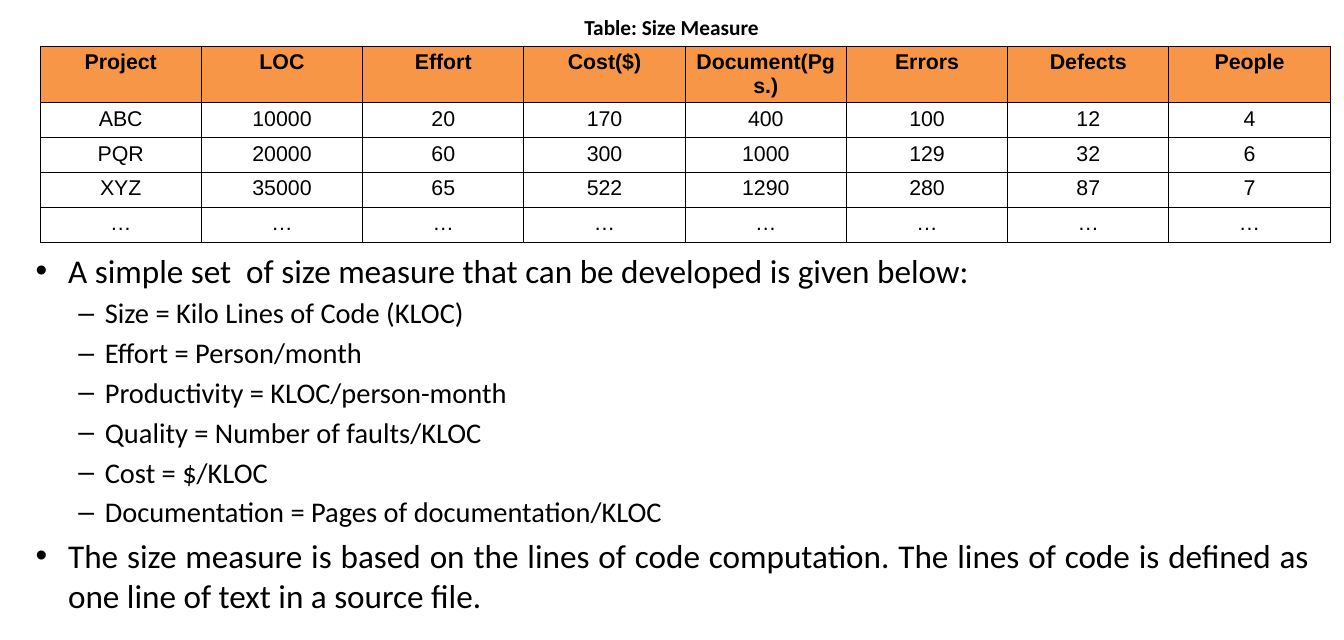
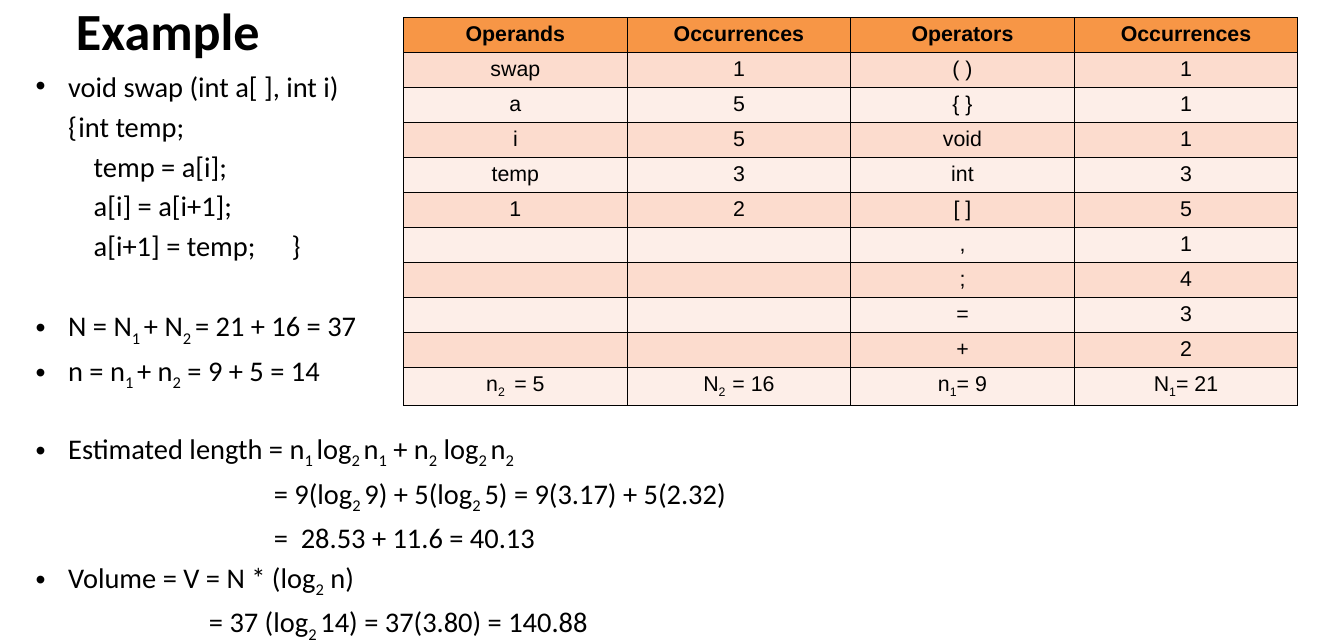
import pptx
import pptx.util
import pptx.dml.color
import pptx.enum.text
import pptx.oxml
import pptx.oxml.ns
import lxml.etree

Inches, Pt = pptx.util.Inches, pptx.util.Pt
ALIGN = pptx.enum.text.PP_ALIGN
ANCHOR = pptx.enum.text.MSO_ANCHOR

# Shared style
HUES = {"ink": "000000", "head": "F79646", "odd": "FCDCCE", "even": "FDEEE8"}
TEXT, GRID = "Calibri", "Arial"
ROW = 0.41
LEFT, WIDE, BASE = 0.32, 15.12, 7.5

# Text between ~ marks is subscript
SIZES = [
    ["Project", "LOC", "Effort", "Cost($)", "Document(Pgs.)", "Errors", "Defects", "People"],
    ["ABC", "10000", "20", "170", "400", "100", "12", "4"],
    ["PQR", "20000", "60", "300", "1000", "129", "32", "6"],
    ["XYZ", "35000", "65", "522", "1290", "280", "87", "7"],
    ["…"] * 8,
]
COUNTS = [
    ["Operands", "Occurrences", "Operators", "Occurrences"],
    ["swap", "1", "( )", "1"],
    ["a", "5", "{ }", "1"],
    ["i", "5", "void", "1"],
    ["temp", "3", "int", "3"],
    ["1", "2", "[ ]", "5"],
    ["", "", ",", "1"],
    ["", "", ";", "4"],
    ["", "", "=", "3"],
    ["", "", "+", "2"],
    ["n~2 ~ = 5", "N~2  ~= 16", "n~1~= 9", "N~1~= 21"],
]

# Kind of line: bullet, left margin, first-line indent, size, space before
KINDS = {
    "main": ("•", 0.38, -0.38, 28, 5.6),
    "sub": ("–", 0.81, -0.31, 24, 4.8),
    "item": ("•", 0.38, -0.38, 24, 4.8),
    "code": (None, 0, 0.38, 24, 4.8),
    "deep": (None, 0, 0.68, 24, 4.8),
    "sum": (None, 0, 2.79, 24, 4.8),
    "volume": (None, 0, 2.03, 24, 4.8),
}
# Each line: kind, text, then optional space before and tab stop
MEASURE = [
    ("main", "A simple set  of size measure that can be developed is given below:", {"gap": 0}),
    ("sub", "Size = Kilo Lines of Code (KLOC)", {}),
    ("sub", "Effort = Person/month", {}),
    ("sub", "Productivity = KLOC/person-month", {}),
    ("sub", "Quality = Number of faults/KLOC", {}),
    ("sub", "Cost = $/KLOC", {}),
    ("sub", "Documentation = Pages of documentation/KLOC", {}),
    ("main", "The size measure is based on the lines of code computation. "
             "The lines of code is defined as one line of text in a source file.", {}),
]
SWAP = [
    ("item", "void swap (int a[ ], int i)", {"gap": 0}),
    ("code", "{\tint temp;", {"tab": 0.71}),
    ("deep", "temp = a[i];", {}),
    ("deep", "a[i] = a[i+1];", {}),
    ("deep", "a[i+1] = temp;\t}", {"tab": 2.96}),
    ("item", "N = N~1 ~+ N~2 ~= 21 + 16 = 37", {"gap": 38.9}),
    ("item", "n = n~1 ~+ n~2~ = 9 + 5 = 14", {}),
    ("item", "Estimated length = n~1 ~log~2 ~n~1~ + n~2~ log~2 ~n~2~", {"gap": 33.2}),
    ("sum", "= 9(log~2 ~9) + 5(log~2 ~5) = 9(3.17) + 5(2.32)", {}),
    ("sum", "=  28.53 + 11.6 = 40.13", {}),
    ("item", "Volume = V = N * (log~2~ n)", {}),
    ("volume", "= 37 (log~2 ~14) = 37(3.80) = 140.88", {}),
]


def color(name):
    return pptx.dml.color.RGBColor.from_string(HUES[name])


def node(host, tag, **attrs):
    return lxml.etree.SubElement(host, pptx.oxml.ns.qn(tag), attrs)


def write(para, text, size, face, bold=False):
    for i, part in enumerate(text.split("~")):
        if not part:
            continue
        run = para.add_run()
        run.text = part
        font = run.font
        font.size, font.name, font.bold = Pt(size), face, bold
        font.color.rgb = color("ink")
        if i % 2:
            font._element.set("baseline", "-25000")


def add_box(slide, left, top, width, height):
    frame = slide.shapes.add_textbox(*map(Inches, (left, top, width, height))).text_frame
    frame.word_wrap = True
    return frame


def add_body(slide, top, lines):
    frame = add_box(slide, LEFT, top, WIDE, BASE - top)
    for i, (kind, text, extra) in enumerate(lines):
        mark, left, first, size, gap = KINDS[kind]
        para = frame.add_paragraph() if i else frame.paragraphs[0]
        para.alignment = ALIGN.JUSTIFY
        para.space_before = Pt(extra.get("gap", gap))
        write(para, text, size, TEXT)
        props = para._p.get_or_add_pPr()
        props.set("marL", str(Inches(left)))
        props.set("indent", str(Inches(first)))
        if mark:
            node(node(props, "a:buClr"), "a:srgbClr", val=HUES["ink"])
            node(props, "a:buFont", typeface=GRID)
            node(props, "a:buChar", char=mark)
        else:
            node(props, "a:buNone")
        if "tab" in extra:
            node(node(props, "a:tabLst"), "a:tab", pos=str(Inches(extra["tab"])), algn="l")


def add_edges(cell):
    props = cell._tc.get_or_add_tcPr()
    for i, side in enumerate("LRTB"):
        line = node(props, "a:ln" + side, w=str(Pt(1)))
        node(node(line, "a:solidFill"), "a:srgbClr", val=HUES["ink"])
        props.insert(i, line)


def add_grid(slide, left, top, col, rows, banded):
    count = len(rows[0])
    table = slide.shapes.add_table(
        len(rows), count, Inches(left), Inches(top),
        Inches(col * count), Inches(ROW * len(rows))).table
    for column in table.columns:
        column.width = Inches(col)
    for r, row in enumerate(rows):
        for c, text in enumerate(row):
            cell = table.cell(r, c)
            if r == 0 or banded:
                cell.fill.solid()
                cell.fill.fore_color.rgb = color(
                    "head" if r == 0 else "odd" if r % 2 else "even")
            else:
                cell.fill.background()
            add_edges(cell)
            para = cell.text_frame.paragraphs[0]
            para.alignment = ALIGN.CENTER
            write(para, text, 18, GRID, r == 0)


def add_title(slide, text):
    title = slide.shapes.title
    title.left, title.top, title.width, title.height = map(Inches, (0.79, 0, 3.8, 0.7))
    frame = title.text_frame
    frame.auto_size = pptx.enum.text.MSO_AUTO_SIZE.NONE
    frame.vertical_anchor = ANCHOR.MIDDLE
    frame.paragraphs[0].alignment = ALIGN.LEFT
    write(frame.paragraphs[0], text, 44, TEXT, True)


def main():
    deck = pptx.Presentation()
    deck.slide_width, deck.slide_height = Inches(15.75), Inches(BASE)

    # Size measures
    slide = deck.slides.add_slide(deck.slide_layouts[6])
    add_grid(slide, 0.47, 0.54, 1.89, SIZES, False)
    label = add_box(slide, 5.67, 0.12, 4.4, 0.4).paragraphs[0]
    label.alignment = ALIGN.CENTER
    write(label, "Table: Size Measure", 18, TEXT, True)
    add_body(slide, 2.88, MEASURE)

    # Worked example
    slide = deck.slides.add_slide(deck.slide_layouts[5])
    add_title(slide, "Example")
    add_body(slide, 0.76, SWAP)
    add_grid(slide, 4.73, 0.21, 2.62, COUNTS, True)

    deck.save("out.pptx")


if __name__ == "__main__":
    main()
